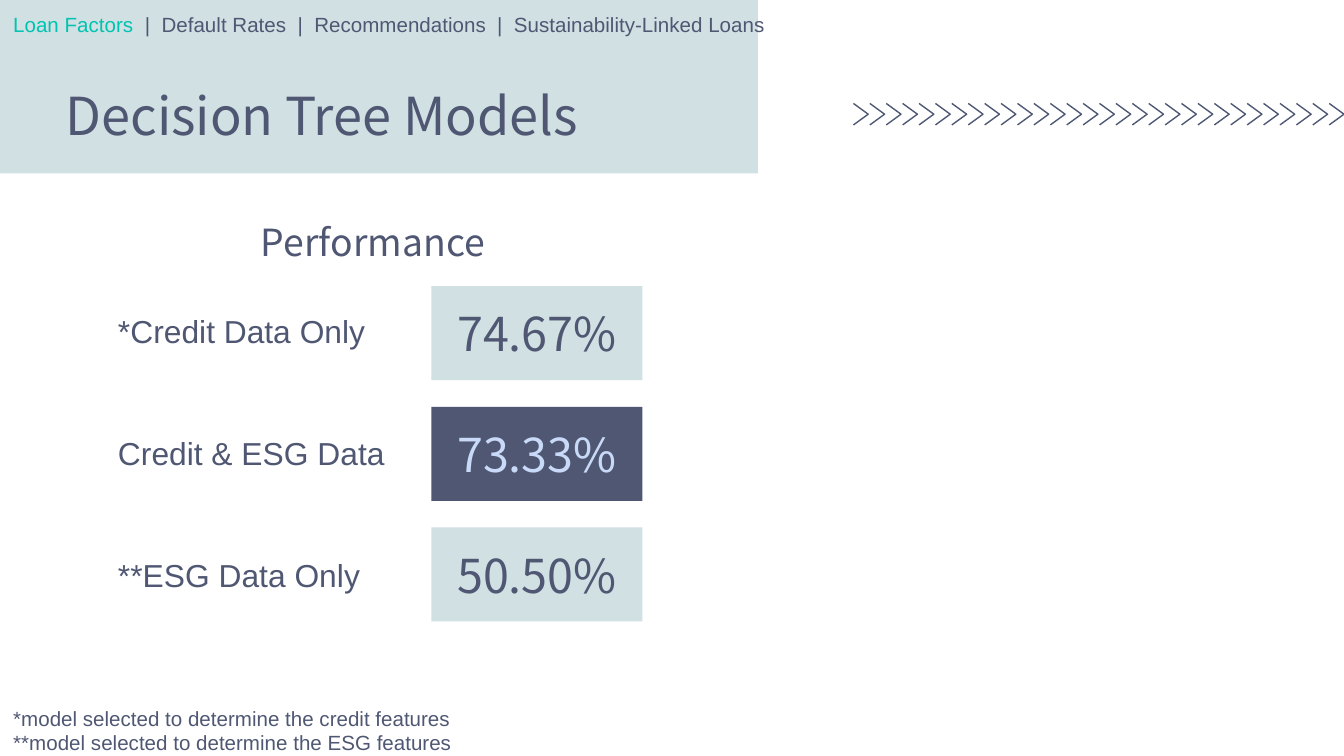
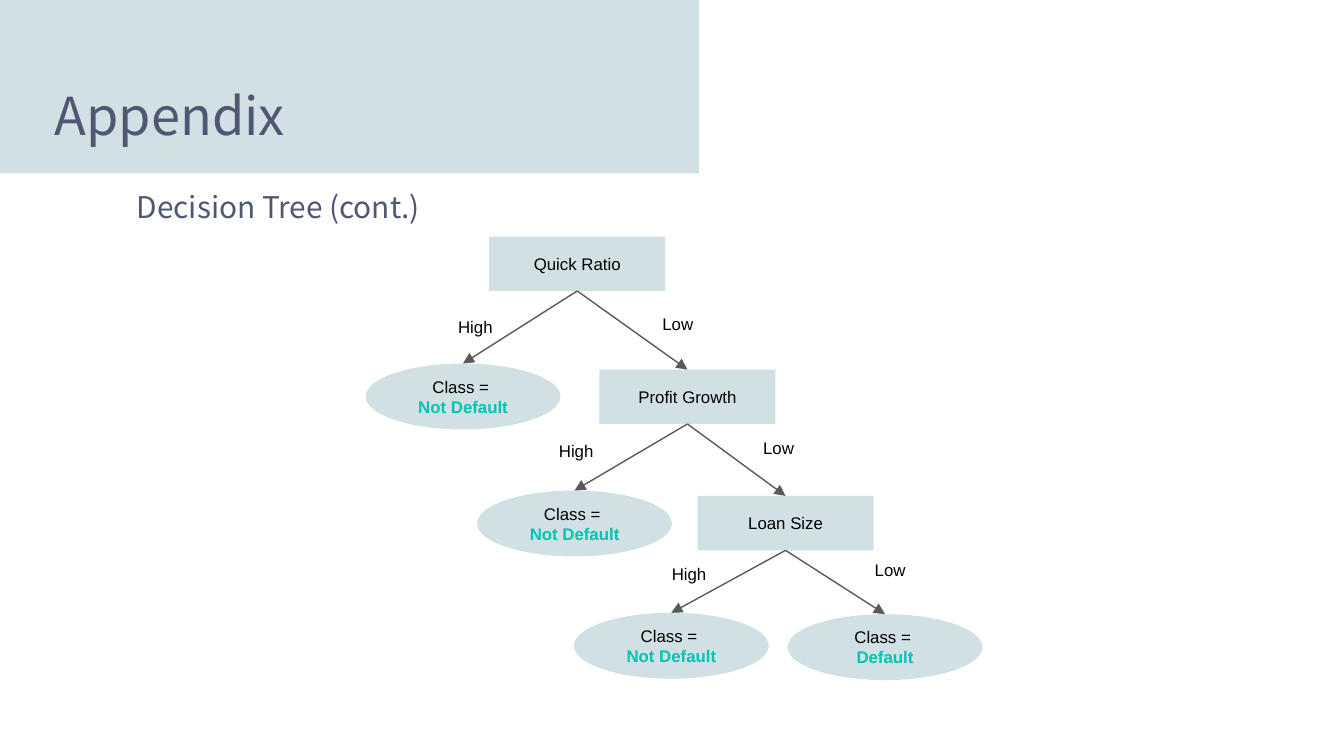
from lxml.etree import SubElement
from pptx import Presentation
from pptx.dml.color import RGBColor
from pptx.enum.shapes import MSO_CONNECTOR, MSO_SHAPE
from pptx.enum.text import MSO_ANCHOR, PP_ALIGN
from pptx.oxml.ns import qn
from pptx.util import Inches, Pt

COLORS = {
    "band": "D0E0E3",
    "ink": "4F5773",
    "accent": "00C3B1",
    "pale": "C9DAF8",
    "black": "000000",
    "arrow": "595959",
}
HEADING_FONT = "Noto Sans CJK KR"
BODY_FONT = "Arial"

presentation = Presentation()
presentation.slide_width = Inches(10)
presentation.slide_height = presentation.slide_width * 9 // 16
CELL = presentation.slide_width // 100  # square grid, 100 columns wide
BAND_ROWS = 12.9


def place(slide, left, top, width, height, preset=None, fill="band"):
    """Put a filled preset shape, or a text box if no preset is given, on the grid."""
    box = [int(CELL * length) for length in (left, top, width, height)]
    if preset is None:
        return slide.shapes.add_textbox(*box)
    shape = slide.shapes.add_shape(preset, *box)
    shape.shadow.inherit = False
    shape.fill.solid()
    shape.fill.fore_color.rgb = RGBColor.from_string(COLORS[fill])
    shape.line.fill.background()
    return shape


def write(shape, *paragraphs, size, font=BODY_FONT, color="ink", align=PP_ALIGN.LEFT,
          anchor=MSO_ANCHOR.TOP, gap=0):
    """Fill a shape; each paragraph is a list of (text, color or None, bold) runs."""
    frame = shape.text_frame
    frame.word_wrap = True
    frame.vertical_anchor = anchor
    frame.margin_left = frame.margin_right = CELL
    frame.margin_top = frame.margin_bottom = CELL
    for index, runs in enumerate(paragraphs):
        paragraph = frame.add_paragraph() if index else frame.paragraphs[0]
        paragraph.alignment = align
        if index and gap:
            paragraph.space_before = Pt(gap)
        if isinstance(runs, str):
            runs = [(runs, None, False)]
        for text, run_color, bold in runs:
            run = paragraph.add_run()
            run.text = text
            run.font.name = font
            run.font.size = Pt(size)
            run.font.bold = bold
            run.font.color.rgb = RGBColor.from_string(COLORS[run_color or color])


# Both slides: band and title
headers = [
    # title, left of title, width of title, right end of band
    ("Decision Tree Models", 3.9, 41.2, 56.4),
    ("Appendix", 3.1, 53.2, 52),
]
slides = []
for title, left, width, band_end in headers:
    slide = presentation.slides.add_slide(presentation.slide_layouts[6])
    place(slide, 0, 0, band_end, BAND_ROWS, MSO_SHAPE.RECTANGLE)
    write(place(slide, left, 5.9, width, 5.2), title, size=28, font=HEADING_FONT,
          anchor=MSO_ANCHOR.MIDDLE)
    slides.append(slide)
models_slide, appendix_slide = slides

# Slide 1: row of chevrons up to the right edge
CHEVRONS = 30
first_left, last_left, tip, chevron_top, chevron_height = 63.5, 98.9, 1.1, 7.7, 1.6
pitch = (last_left - first_left) / (CHEVRONS - 1)
for number in range(CHEVRONS):
    left = first_left + number * pitch
    builder = models_slide.shapes.build_freeform(int(CELL * left), int(CELL * chevron_top))
    builder.add_line_segments([
        (int(CELL * (left + tip)), int(CELL * (chevron_top + chevron_height / 2))),
        (int(CELL * left), int(CELL * (chevron_top + chevron_height))),
    ], close=False)
    chevron = builder.convert_to_shape()
    chevron.shadow.inherit = False
    chevron.fill.background()
    chevron.line.color.rgb = RGBColor.from_string(COLORS["ink"])
    chevron.line.width = Pt(0.75)

# Slide 1: performance of the models
write(place(models_slide, 7.8, 16.3, 39.9, 3.3), "Performance", size=20,
      font=HEADING_FONT, align=PP_ALIGN.CENTER, anchor=MSO_ANCHOR.MIDDLE)
write(place(models_slide, 7.8, 22.2, 22.4, 25.1), "*Credit Data Only",
      "Credit & ESG Data", "**ESG Data Only", size=17, gap=45)
scores = [("74.67%", "band", "ink"), ("73.33%", "ink", "pale"), ("50.50%", "band", "ink")]
for row, (score, fill, color) in enumerate(scores):
    tile = place(models_slide, 32.1, 21.3 + row * 8.97, 15.7, 7, MSO_SHAPE.RECTANGLE, fill)
    write(tile, score, size=25, font=HEADING_FONT, color=color,
          align=PP_ALIGN.CENTER, anchor=MSO_ANCHOR.MIDDLE)

write(place(models_slide, 0, 51.5, 61.5, 4.7),
      "*model selected to determine the credit features",
      "**model selected to determine the ESG features", size=11)

sections = ["Loan Factors", "Default Rates", "Recommendations", "Sustainability-Linked Loans"]
separator = "  |  "
write(place(models_slide, 0, 0, 100, 2.9),
      [(sections[0], "accent", False),
       (separator + separator.join(sections[1:]), None, False)], size=11)

# Slide 2: decision tree
write(place(appendix_slide, 9.2, 13.7, 32.7, 3.3), "Decision Tree (cont.)", size=16,
      font=HEADING_FONT, anchor=MSO_ANCHOR.MIDDLE)

node_format = dict(size=9, color="black", align=PP_ALIGN.CENTER, anchor=MSO_ANCHOR.MIDDLE)
nodes = {}
for name, left, top in [("Quick Ratio", 36.4, 17.6), ("Profit Growth", 44.6, 27.5),
                        ("Loan Size", 51.9, 36.9)]:
    nodes[name] = place(appendix_slide, left, top, 13.1, 4.05, MSO_SHAPE.RECTANGLE)
    write(nodes[name], name, **node_format)

for name, outcome, left, top in [("leaf 1", "Not Default", 27.2, 27.05),
                                 ("leaf 2", "Not Default", 35.5, 36.5),
                                 ("leaf 3", "Not Default", 42.7, 45.6),
                                 ("leaf 4", "Default", 58.6, 45.7)]:
    nodes[name] = place(appendix_slide, left, top, 14.5, 4.9, MSO_SHAPE.OVAL)
    write(nodes[name], "Class = ", [(outcome, "accent", True)], **node_format)

branches = [
    # parent, child, label, left and top of label
    ("Quick Ratio", "leaf 1", "High", 33.1, 22.8),
    ("Quick Ratio", "Profit Growth", "Low", 48.3, 22.6),
    ("Profit Growth", "leaf 2", "High", 40.6, 32),
    ("Profit Growth", "Loan Size", "Low", 55.8, 31.8),
    ("Loan Size", "leaf 3", "High", 49, 41.2),
    ("Loan Size", "leaf 4", "Low", 64.1, 40.9),
]
for parent, child, label, left, top in branches:
    arrow = appendix_slide.shapes.add_connector(MSO_CONNECTOR.STRAIGHT, 0, 0, 0, 0)
    arrow.begin_connect(nodes[parent], 2)
    arrow.end_connect(nodes[child], 0)
    arrow.line.color.rgb = RGBColor.from_string(COLORS["arrow"])
    arrow.line.width = Pt(0.75)
    SubElement(arrow.line._get_or_add_ln(), qn("a:tailEnd"), type="triangle")
    SubElement(arrow._element.spPr, qn("a:effectLst"))
    write(place(appendix_slide, left, top, 4.9, 3.5), label, size=9, color="black")

presentation.save("out.pptx")
